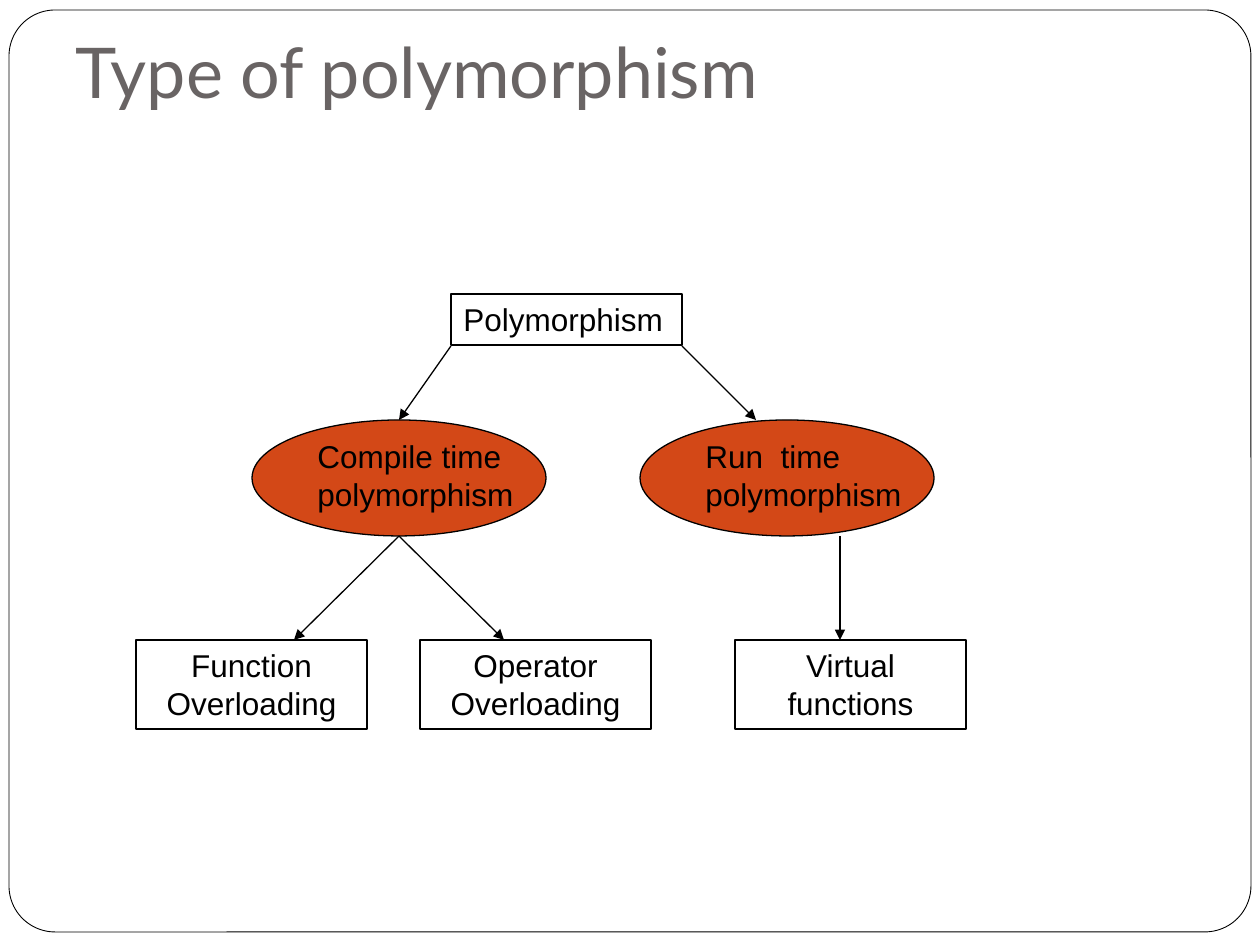
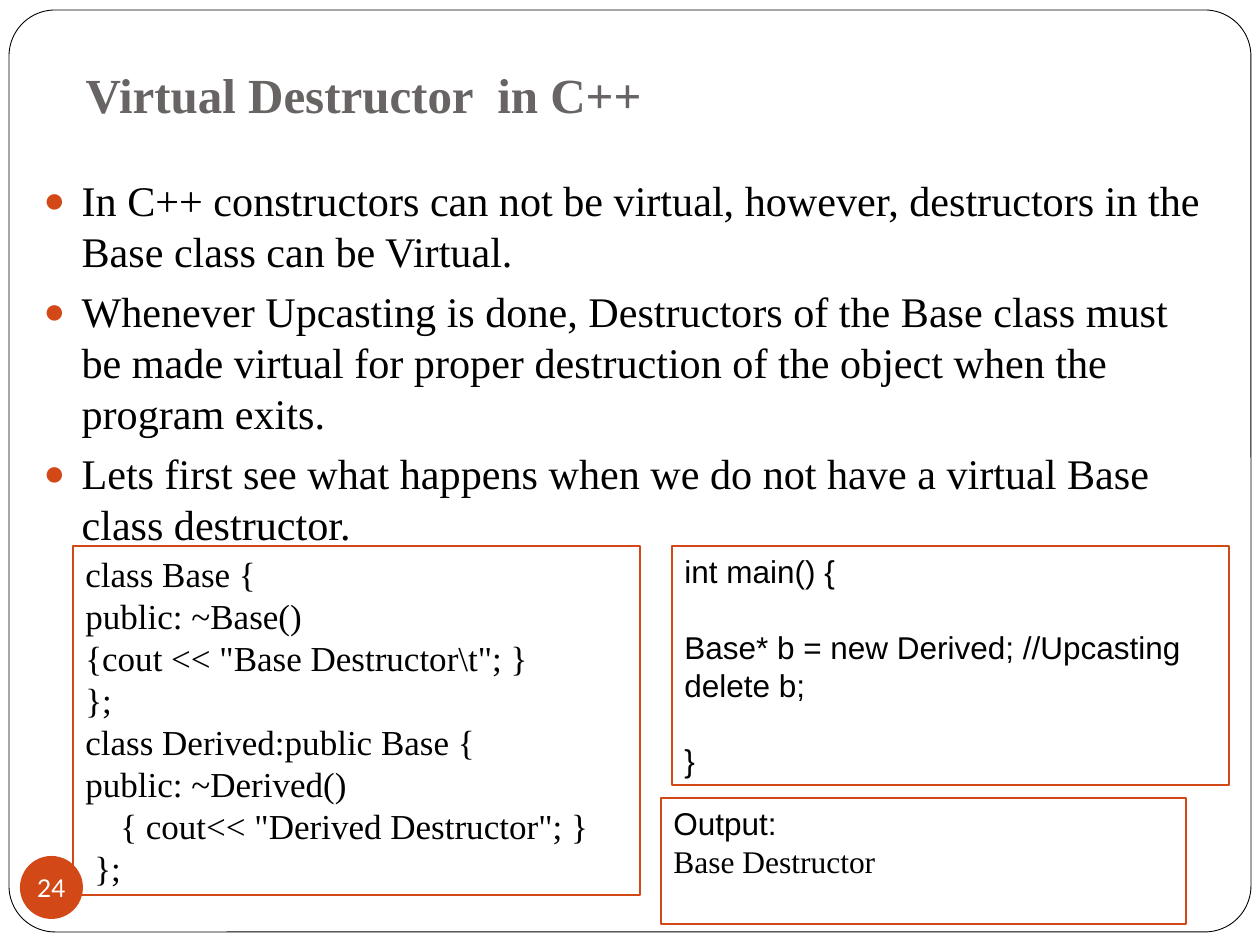
from lxml.etree import SubElement
from pptx import Presentation
from pptx.dml.color import RGBColor
from pptx.enum.shapes import MSO_CONNECTOR, MSO_SHAPE
from pptx.enum.text import MSO_ANCHOR, MSO_AUTO_SIZE, PP_ALIGN
from pptx.oxml.ns import qn
from pptx.util import Emu, Pt

COLOURS = {
    "paper": "FFFFFF",
    "ink": "000000",
    "title": "696464",
    "accent": "D34817",
}
SANS, SERIF, HEADING = "Arial", "Times New Roman", "Lato"
TITLE_ONLY, TITLE_AND_BODY = 5, 1

# Slide 1: a tree of rectangles and ellipses
ROOT = ("Polymorphism", 451, 294)
KINDS = [("Compile time polymorphism", 252), ("Run  time polymorphism", 640)]
EXAMPLES = [
    ("Function Overloading", 136),
    ("Operator Overloading", 420),
    ("Virtual functions", 735),
]
RECTANGLE_WIDTH, ROOT_HEIGHT, EXAMPLE_HEIGHT = 231, 51, 89
KIND_TOP, KIND_WIDTH, KIND_HEIGHT = 420, 294, 116
KIND_BOTTOM = KIND_TOP + KIND_HEIGHT
EXAMPLE_TOP = 640
ARROWS = [
    ((451, 346), (399, KIND_TOP)),
    ((682, 346), (756, KIND_TOP)),
    ((399, KIND_BOTTOM), (294, EXAMPLE_TOP)),
    ((399, KIND_BOTTOM), (504, EXAMPLE_TOP)),
    ((840, KIND_BOTTOM), (840, EXAMPLE_TOP)),
]

# Slide 2: points, then framed code
POINTS = [
    "In C++ constructors can not be virtual, however, destructors in the "
    "Base class can be Virtual.",
    "Whenever Upcasting is done, Destructors of the Base class must be made "
    "virtual for proper destruction of the object when the program exits.",
    "Lets first see what happens when we do not have a virtual Base class "
    "destructor.",
]
PAGE_NUMBER = "24"
CODE_BOXES = [
    {
        "place": (672, 546, 557, 239), "size": 18, "fonts": [SANS] * 3,
        "lines": ["int main() {", "Base* b = new Derived; //Upcasting delete b;", "}"],
        "gaps": {1: 21.6, 2: 21.6},
    },
    {
        "place": (73, 546, 567, 349), "size": 20, "fonts": [SERIF] * 8,
        "lines": [
            "class Base {",
            "public: ~Base()",
            '{cout << "Base Destructor\\t"; }',
            "};",
            "class Derived:public Base {",
            "public: ~Derived()",
            '{ cout<< "Derived Destructor"; }',
            "};",
        ],
        "indents": {6: 35, 7: 9},
    },
    {
        "place": (661, 798, 525, 126), "size": 18, "fonts": [SANS, SERIF],
        "lines": ["Output:", "Base Destructor"],
    },
]


def px(length):
    return Emu(round(length * 914400 / 126))


def colour(name):
    return RGBColor.from_string(COLOURS[name])


def place(shape, left, top, width, height):
    shape.left, shape.top = px(left), px(top)
    shape.width, shape.height = px(width), px(height)


def style(para, font, size, ink="ink", align=PP_ALIGN.LEFT, bold=False):
    para.font.name, para.font.size, para.font.bold = font, Pt(size), bold
    para.font.color.rgb = colour(ink)
    para.alignment = align
    para.line_spacing = Pt(round(size * 1.2, 1))


def add_shape(page, preset, where, fill=None, line=None, width=0.75):
    shape = page.shapes.add_shape(preset, *map(px, where))
    shape.shadow.inherit = False
    if fill:
        shape.fill.solid()
        shape.fill.fore_color.rgb = colour(fill)
    else:
        shape.fill.background()
    if line:
        shape.line.color.rgb = colour(line)
        shape.line.width = Pt(width)
    else:
        shape.line.fill.background()
    shape.text_frame.word_wrap = True
    shape.text_frame.vertical_anchor = MSO_ANCHOR.TOP
    return shape


def write(box, text, font, size, **options):
    box.text_frame.text = text
    style(box.text_frame.paragraphs[0], font, size, **options)


def add_page(deck, layout, title, where, font, size, bold=False):
    """Start a slide with the shared rounded frame behind its title."""
    page = deck.slides.add_slide(deck.slide_layouts[layout])
    frame = add_shape(page, MSO_SHAPE.ROUNDED_RECTANGLE, (9, 10, 1242, 922),
                      "paper", "ink", 0.5)
    frame.adjustments[0] = 0.05
    page.shapes._spTree.insert(2, frame._element)

    heading = page.shapes.title
    place(heading, *where)
    write(heading, title, font, size, ink="title", bold=bold)
    heading.text_frame.auto_size = MSO_AUTO_SIZE.NONE
    heading.text_frame.vertical_anchor = MSO_ANCHOR.BOTTOM
    heading.text_frame.margin_bottom = px(13)
    return page


def add_arrow(page, start, end):
    arrow = page.shapes.add_connector(MSO_CONNECTOR.STRAIGHT, *map(px, start + end))
    arrow.line.color.rgb = colour("ink")
    arrow.line.width = Pt(0.75)
    SubElement(arrow.line._get_or_add_ln(), qn("a:tailEnd"), type="triangle")
    SubElement(arrow._element.spPr, qn("a:effectLst"))


def add_bullet(para):
    properties = para._p.get_or_add_pPr()
    properties.set("marL", str(px(38)))
    properties.set("indent", str(-px(38)))
    bullet_colour = SubElement(properties, qn("a:buClr"))
    SubElement(bullet_colour, qn("a:srgbClr"), val=COLOURS["accent"])
    SubElement(properties, qn("a:buSzPct"), val="85000")
    SubElement(properties, qn("a:buFont"), typeface=SANS)
    SubElement(properties, qn("a:buChar"), char="●")


def add_code_box(page, code):
    box = add_shape(page, MSO_SHAPE.RECTANGLE, code["place"], line="accent")
    box.text_frame.text = "\n".join(code["lines"])
    for para, font in zip(box.text_frame.paragraphs, code["fonts"]):
        style(para, font, code["size"])
    for index, gap in code.get("gaps", {}).items():
        box.text_frame.paragraphs[index].space_before = Pt(gap)
    for index, indent in code.get("indents", {}).items():
        properties = box.text_frame.paragraphs[index]._p.get_or_add_pPr()
        properties.set("marL", str(px(indent)))


def build_tree_page(deck):
    page = add_page(deck, TITLE_ONLY, "Type of polymorphism",
                    (63, 38, 1134, 88), HEADING, 40)
    text, left, top = ROOT
    root = add_shape(page, MSO_SHAPE.RECTANGLE,
                     (left, top, RECTANGLE_WIDTH, ROOT_HEIGHT), line="ink")
    write(root, text, SANS, 18)

    for text, left in EXAMPLES:
        example = add_shape(page, MSO_SHAPE.RECTANGLE,
                            (left, EXAMPLE_TOP, RECTANGLE_WIDTH, EXAMPLE_HEIGHT),
                            line="ink")
        write(example, text, SANS, 18, align=PP_ALIGN.CENTER)

    for text, left in KINDS:
        add_shape(page, MSO_SHAPE.OVAL, (left, KIND_TOP, KIND_WIDTH, KIND_HEIGHT),
                  "accent", "ink")
        label = page.shapes.add_textbox(*map(px, (left + 53, KIND_TOP + 11, 262, 88)))
        label.text_frame.word_wrap = True
        write(label, text, SANS, 18)

    for start, end in ARROWS:
        add_arrow(page, start, end)


def build_destructor_page(deck):
    page = add_page(deck, TITLE_AND_BODY, "Virtual Destructor  in C++",
                    (73, 38, 1124, 98), SERIF, 28, bold=True)
    body = page.placeholders[1]
    place(body, 31, 168, 1197, 388)
    body.text_frame.text = "\n".join(POINTS)
    body.text_frame.auto_size = MSO_AUTO_SIZE.NONE
    for para in body.text_frame.paragraphs:
        style(para, SERIF, 24.1)
        para.space_before = Pt(5.8)
        add_bullet(para)

    badge = add_shape(page, MSO_SHAPE.OVAL, (20, 856, 63, 63), "accent")
    frame = badge.text_frame
    frame.margin_left = frame.margin_right = frame.margin_top = frame.margin_bottom = 0
    frame.word_wrap = False
    frame.vertical_anchor = MSO_ANCHOR.MIDDLE
    write(badge, PAGE_NUMBER, HEADING, 14, ink="paper", align=PP_ALIGN.CENTER)

    for code in CODE_BOXES:
        add_code_box(page, code)


def main():
    deck = Presentation()
    deck.slide_width, deck.slide_height = px(1260), px(945)
    build_tree_page(deck)
    build_destructor_page(deck)
    deck.save("out.pptx")


if __name__ == "__main__":
    main()
